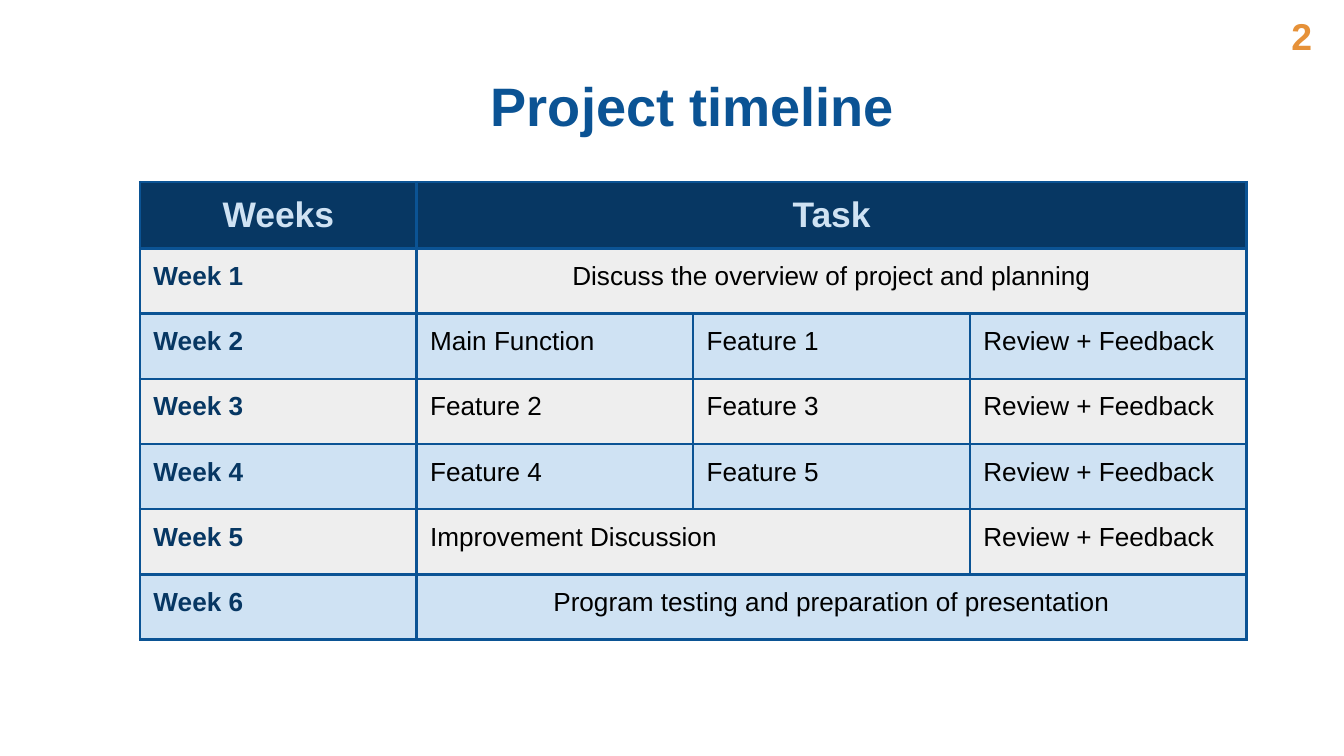
from dataclasses import dataclass

from lxml.etree import SubElement
from pptx import Presentation
from pptx.dml.color import RGBColor
from pptx.enum.text import PP_ALIGN
from pptx.oxml.ns import qn
from pptx.util import Pt


@dataclass(frozen=True)
class Theme:
    font: str = "Arial"
    navy: str = "073763"
    blue: str = "0B5394"
    pale_blue: str = "CFE2F3"
    grey: str = "EEEEEE"
    black: str = "000000"
    orange: str = "E69138"
    title_size: float = 29
    number_size: float = 20
    header_size: float = 19
    body_size: float = 14
    inset: float = 7.2
    border: float = 1.5


@dataclass(frozen=True)
class Label:
    text: str
    left: float
    top: float
    width: float
    height: float
    size: float
    color: str
    align: PP_ALIGN = PP_ALIGN.LEFT


@dataclass(frozen=True)
class Task:
    text: str
    span: int = 1


THEME = Theme()
TABLE_LEFT, TABLE_TOP = 75, 97.5
COLUMN_WIDTH, ROW_HEIGHT = 148.2, 34.95
TASK_COLUMNS = 3
REVIEW = Task("Review + Feedback")

LABELS = [
    Label("Project timeline", 203, 31.7, 336.2, 49.7,
          THEME.title_size, THEME.blue, PP_ALIGN.CENTER),
    Label("2", 684.7, 0, 31.7, 38.9, THEME.number_size, THEME.orange),
]

# One list of tasks per week
WEEKS = [
    [Task("Discuss the overview of project and planning", 3)],
    [Task("Main Function"), Task("Feature 1"), REVIEW],
    [Task("Feature 2"), Task("Feature 3"), REVIEW],
    [Task("Feature 4"), Task("Feature 5"), REVIEW],
    [Task("Improvement Discussion", 2), REVIEW],
    [Task("Program testing and preparation of presentation", 3)],
]


def style_paragraph(para, size: float, color: str, bold: bool, align: PP_ALIGN) -> None:
    para.alignment = align
    para.font.name = THEME.font
    para.font.size = Pt(size)
    para.font.bold = bold
    para.font.color.rgb = RGBColor.from_string(color)


def set_insets(holder) -> None:
    holder.margin_left = holder.margin_right = Pt(THEME.inset)
    holder.margin_top = holder.margin_bottom = Pt(THEME.inset)


def add_label(page, label: Label) -> None:
    box = page.shapes.add_textbox(Pt(label.left), Pt(label.top),
                                  Pt(label.width), Pt(label.height))
    frame = box.text_frame
    frame.word_wrap = True
    set_insets(frame)
    frame.text = label.text
    style_paragraph(frame.paragraphs[0], label.size, label.color, True, label.align)


def format_cell(cell, fill: str) -> None:
    set_insets(cell)
    properties = cell._tc.get_or_add_tcPr()
    for side in ("a:lnL", "a:lnR", "a:lnT", "a:lnB"):
        line = SubElement(properties, qn(side), w=str(Pt(THEME.border)))
        SubElement(SubElement(line, qn("a:solidFill")), qn("a:srgbClr"), val=THEME.blue)
    cell.fill.solid()
    cell.fill.fore_color.rgb = RGBColor.from_string(fill)


def write_cell(cell, text: str, size: float, color: str, bold: bool,
               align: PP_ALIGN = PP_ALIGN.LEFT) -> None:
    cell.text = text
    style_paragraph(cell.text_frame.paragraphs[0], size, color, bold, align)


def add_timeline(page) -> None:
    rows, columns = len(WEEKS) + 1, TASK_COLUMNS + 1
    table = page.shapes.add_table(
        rows, columns, Pt(TABLE_LEFT), Pt(TABLE_TOP),
        Pt(COLUMN_WIDTH * columns), Pt(ROW_HEIGHT * rows)).table
    for column in table.columns:
        column.width = Pt(COLUMN_WIDTH)

    # Row heights, borders and alternating fills
    for index, row in enumerate(table.rows):
        row.height = Pt(ROW_HEIGHT)
        band = THEME.grey if index % 2 else THEME.pale_blue
        for cell in row.cells:
            format_cell(cell, band if index else THEME.navy)

    # Header
    table.cell(0, 1).merge(table.cell(0, TASK_COLUMNS))
    for column, heading in enumerate(("Weeks", "Task")):
        write_cell(table.cell(0, column), heading, THEME.header_size,
                   THEME.pale_blue, True, PP_ALIGN.CENTER)

    # Weeks and their tasks; a task across the full width is centred
    for week, tasks in enumerate(WEEKS, start=1):
        write_cell(table.cell(week, 0), f"Week {week}", THEME.body_size, THEME.navy, True)
        column = 1
        for task in tasks:
            cell = table.cell(week, column)
            if task.span > 1:
                cell.merge(table.cell(week, column + task.span - 1))
            align = PP_ALIGN.CENTER if task.span == TASK_COLUMNS else PP_ALIGN.LEFT
            write_cell(cell, task.text, THEME.body_size, THEME.black, False, align)
            column += task.span


def main() -> None:
    deck = Presentation()
    deck.slide_width, deck.slide_height = Pt(720), Pt(405)
    page = deck.slides.add_slide(deck.slide_layouts[6])
    add_timeline(page)
    for label in LABELS:
        add_label(page, label)
    deck.save("out.pptx")


if __name__ == "__main__":
    main()
